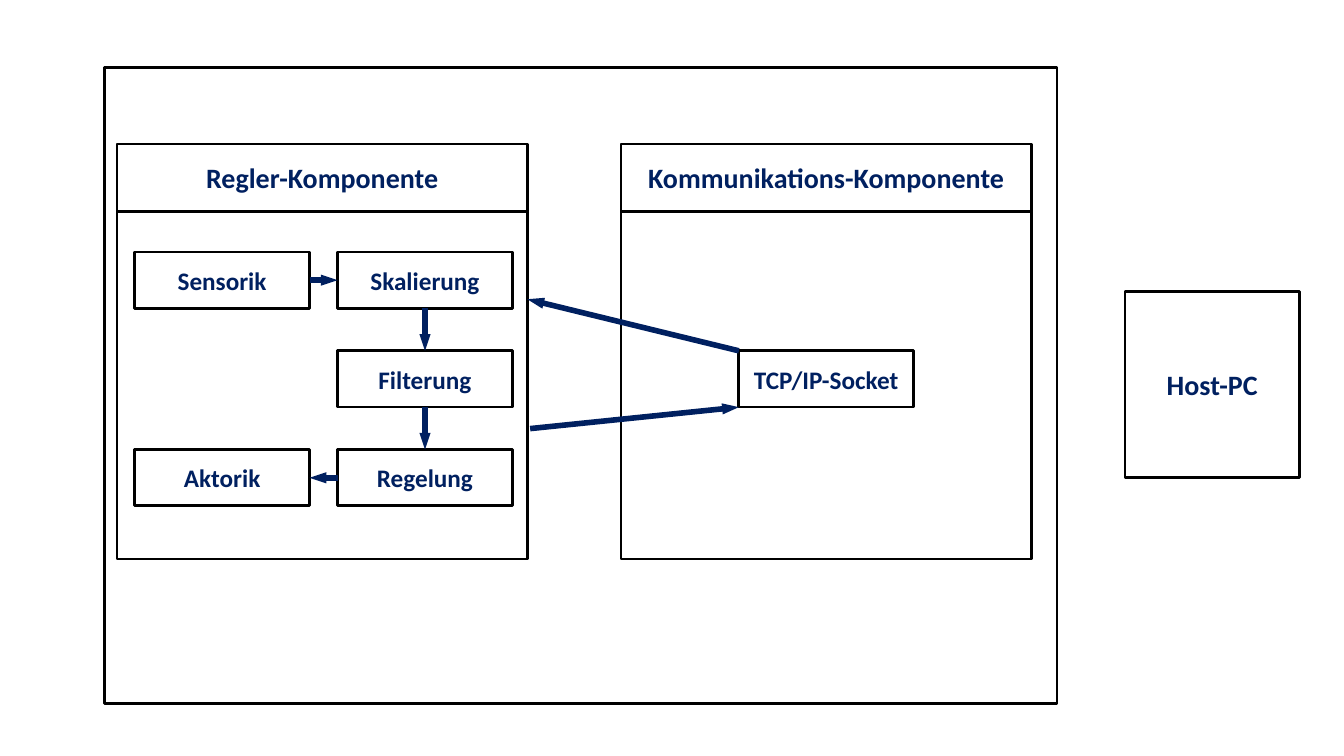
from lxml.etree import SubElement
from pptx import Presentation
from pptx.dml.color import RGBColor
from pptx.enum.shapes import MSO_CONNECTOR as Line, MSO_SHAPE as Shape
from pptx.enum.text import MSO_ANCHOR as Anchor, PP_ALIGN as Align
from pptx.oxml.ns import qn
from pptx.util import Cm, Pt

BLACK = RGBColor(0x00, 0x00, 0x00)
WHITE = RGBColor(0xFF, 0xFF, 0xFF)
NAVY = RGBColor(0x00, 0x20, 0x60)

HEADING = {"name": "Calibri", "size": Pt(20), "bold": True}
STEP = {**HEADING, "size": Pt(18)}

FRAME_WIDTH, FRAME_TOP = 10.34, 3.63
HEADER_HEIGHT, BODY_HEIGHT = 1.7, 8.76
CONTROLLER_LEFT, COMMUNICATION_LEFT = 2.95, 15.65
STEP_WIDTH, STEP_HEIGHT = 4.4, 1.42
STEP_TOP, STEP_PITCH = 6.35, 2.49
DEVICE_LEFT, PROCESS_LEFT, SOCKET_LEFT = 3.4, 8.51, 18.62
TOP, LEFT, BOTTOM, RIGHT = range(4)


def add_box(slide, left, top, width, height, label="", text_format=HEADING):
    box = slide.shapes.add_shape(
        Shape.RECTANGLE, Cm(left), Cm(top), Cm(width), Cm(height))
    box.shadow.inherit = False
    box.fill.solid()
    box.fill.fore_color.rgb = WHITE
    box.line.color.rgb = BLACK
    box.line.width = Pt(2)
    if label:
        box.text_frame.vertical_anchor = Anchor.MIDDLE
        caption = box.text_frame.paragraphs[0]
        caption.alignment = Align.CENTER
        run = caption.add_run()
        run.text = label
        for attribute, value in text_format.items():
            setattr(run.font, attribute, value)
        run.font.color.rgb = NAVY
    return box


def add_component(slide, left, label):
    add_box(slide, left, FRAME_TOP, FRAME_WIDTH, HEADER_HEIGHT, label)
    return add_box(slide, left, FRAME_TOP + HEADER_HEIGHT, FRAME_WIDTH, BODY_HEIGHT)


def add_step(slide, left, row, label):
    return add_box(slide, left, STEP_TOP + row * STEP_PITCH,
                   STEP_WIDTH, STEP_HEIGHT, label, STEP)


def add_arrow(slide, start=(0, 0), end=(0, 0)):
    arrow = slide.shapes.add_connector(
        Line.STRAIGHT, *[Cm(length) for length in (*start, *end)])
    arrow.line.color.rgb = NAVY
    arrow.line.width = Pt(4)
    SubElement(arrow.line._get_or_add_ln(), qn("a:tailEnd"),
               type="triangle", w="sm", len="med")
    SubElement(arrow._element.spPr, qn("a:effectLst"))
    return arrow


def link_steps(slide, source, source_side, target, target_side):
    arrow = add_arrow(slide)
    arrow.begin_connect(source, source_side)
    arrow.end_connect(target, target_side)


def main():
    deck = Presentation()
    deck.slide_width, deck.slide_height = Cm(33.87), Cm(19.05)
    slide = deck.slides.add_slide(deck.slide_layouts[6])

    add_box(slide, 2.64, 1.7, 24, 16.03)
    add_component(slide, CONTROLLER_LEFT, "Regler-Komponente")
    sensors = add_step(slide, DEVICE_LEFT, 0, "Sensorik")
    scaling, filtering, control = [
        add_step(slide, PROCESS_LEFT, row, label)
        for row, label in enumerate(("Skalierung", "Filterung", "Regelung"))]
    actuators = add_step(slide, DEVICE_LEFT, 2, "Aktorik")
    add_component(slide, COMMUNICATION_LEFT, "Kommunikations-Komponente")
    add_step(slide, SOCKET_LEFT, 1, "TCP/IP-Socket")
    add_box(slide, 28.35, 7.34, STEP_WIDTH, 4.7, "Host-PC")

    for link in ((sensors, RIGHT, scaling, LEFT),
                 (scaling, BOTTOM, filtering, TOP),
                 (filtering, BOTTOM, control, TOP),
                 (control, LEFT, actuators, RIGHT)):
        link_steps(slide, *link)

    socket_top = STEP_TOP + STEP_PITCH
    controller_right = CONTROLLER_LEFT + FRAME_WIDTH
    add_arrow(slide, (SOCKET_LEFT, socket_top), (controller_right, 7.54))
    add_arrow(slide, (controller_right + 0.07, 10.8),
              (SOCKET_LEFT, socket_top + STEP_HEIGHT))

    deck.save("out.pptx")


if __name__ == "__main__":
    main()
